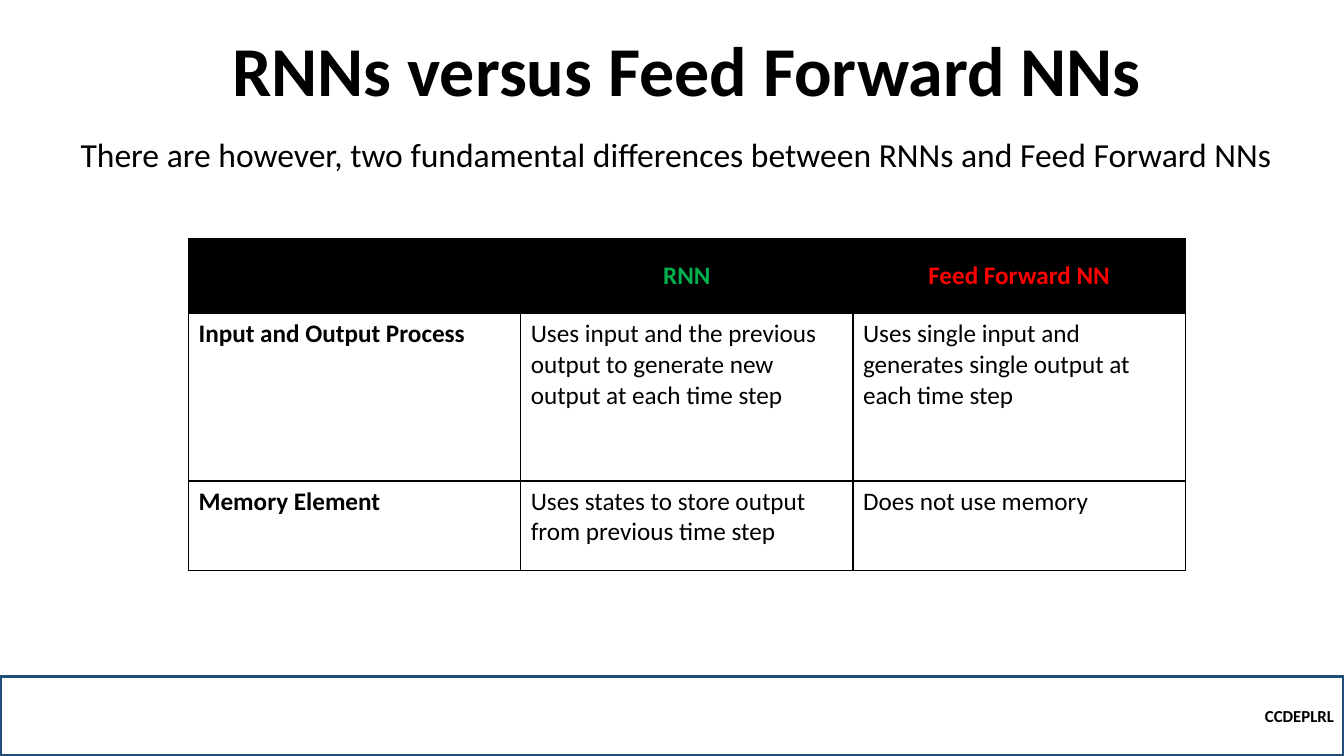
"""Build a slide comparing RNNs with feed forward networks."""
from lxml import etree
from pptx import Presentation
from pptx import util as u
from pptx.dml.color import RGBColor
from pptx.enum import shapes, text
from pptx.oxml.ns import qn

BLACK = RGBColor(0x00, 0x00, 0x00)
WHITE = RGBColor(0xFF, 0xFF, 0xFF)
NAVY = RGBColor(0x1F, 0x4E, 0x79)
GREEN = RGBColor(0x00, 0xB0, 0x50)
RED = RGBColor(0xFF, 0x00, 0x00)


def write(tf, words, size, bold=False, color=BLACK, align=text.PP_ALIGN.LEFT):
    tf.word_wrap = True
    p = tf.paragraphs[0]
    p.text = words
    p.alignment = align
    for font in [p.font] + [r.font for r in p.runs]:
        font.name = "Calibri"
        font.size = u.Pt(size)
        font.bold = bold
        font.color.rgb = color
    return p


def add_borders(cell):
    tcPr = cell._tc.get_or_add_tcPr()
    for i, side in enumerate(("lnL", "lnR", "lnT", "lnB")):
        ln = etree.Element(qn(f"a:{side}"), w=str(u.Pt(1)))
        fill = etree.SubElement(ln, qn("a:solidFill"))
        etree.SubElement(fill, qn("a:srgbClr"), val=str(BLACK))
        tcPr.insert(i, ln)


prs = Presentation()
prs.slide_width = u.Cm(33.87)
prs.slide_height = u.Cm(19.05)
s = prs.slides.add_slide(prs.slide_layouts[6])

footer = s.shapes.add_shape(shapes.MSO_SHAPE.RECTANGLE, 0, u.Cm(17.04), prs.slide_width, u.Cm(2.01))
footer.shadow.inherit = False
footer.fill.background()
footer.line.color.rgb = NAVY
footer.line.width = u.Pt(2.25)
footer.text_frame.vertical_anchor = text.MSO_ANCHOR.MIDDLE
write(footer.text_frame, "CCDEPLRL", 12, bold=True, align=text.PP_ALIGN.RIGHT)

headings = [
    ("RNNs versus Feed Forward NNs", (1.96, 0.94, 30.71, 2.01), 50, True, text.PP_ALIGN.CENTER),
    ("There are however, two fundamental differences between RNNs and Feed Forward NNs",
     (1.78, 3.3, 31.01, 1.24), 24, False, text.PP_ALIGN.LEFT),
]
for words, place, size, bold, align in headings:
    sp = s.shapes.add_textbox(*[u.Cm(v) for v in place])
    sp.text_frame.vertical_anchor = text.MSO_ANCHOR.BOTTOM
    p = write(sp.text_frame, words, size, bold, align=align)
    p.line_spacing = 0.9

rows = [
    ("", "RNN", "Feed Forward NN"),
    ("Input and Output Process",
     "Uses input and the previous output to generate new output at each time step",
     "Uses single input and generates single output at each time step"),
    ("Memory Element",
     "Uses states to store output from previous time step",
     "Does not use memory"),
]
header_colors = (WHITE, GREEN, RED)
row_heights = (1.88, 4.22, 2.26)

table = s.shapes.add_table(3, 3, u.Cm(4.75), u.Cm(6.02), u.Cm(25.12), u.Cm(sum(row_heights))).table
for row, height in zip(table.rows, row_heights):
    row.height = u.Cm(height)
for i, row in enumerate(rows):
    for j, words in enumerate(row):
        cell = table.cell(i, j)
        header = i == 0
        cell.fill.solid()
        cell.fill.fore_color.rgb = BLACK if header else WHITE
        cell.vertical_anchor = text.MSO_ANCHOR.MIDDLE if header else text.MSO_ANCHOR.TOP
        write(cell.text_frame, words, 18, header or j == 0,
              header_colors[j] if header else BLACK,
              text.PP_ALIGN.CENTER if header else text.PP_ALIGN.LEFT)
        add_borders(cell)

prs.save("out.pptx")
